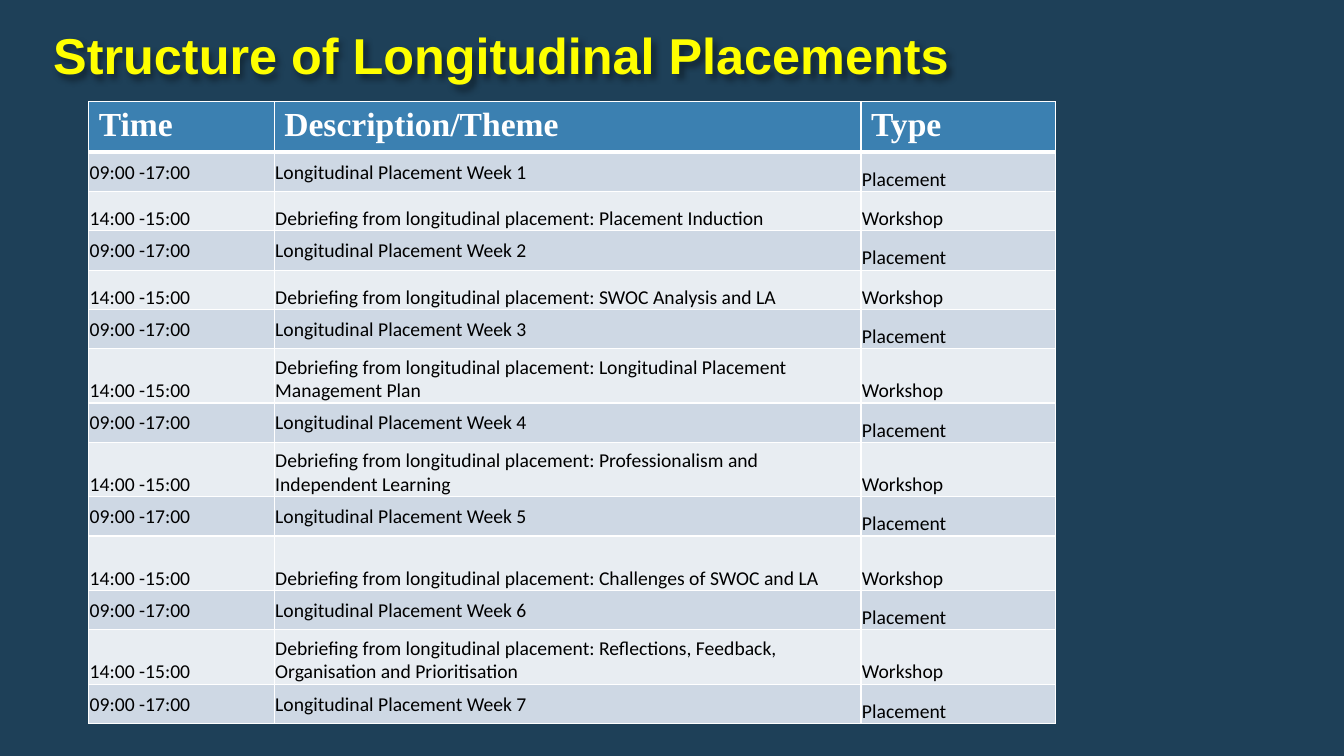
from lxml.etree import SubElement as Sub
from pptx import Presentation
from pptx.dml.color import RGBColor
from pptx.enum.text import MSO_ANCHOR as Anchor
from pptx.oxml import parse_xml
from pptx.oxml.ns import nsdecls, qn
from pptx.util import Inches, Pt

THEMES = [
    "Placement Induction",
    "SWOC Analysis and LA",
    "Longitudinal Placement Management Plan",
    "Professionalism and Independent Learning",
    "Challenges of SWOC and LA",
    "Reflections, Feedback, Organisation and Prioritisation",
]
WIDTHS = [1.84, 5.82, 1.93]
HEADS = ["Time", "Description/Theme", "Type"]


def color(code):
    return RGBColor.from_string(code)


class Deck:
    """Holds the slide and the style of its title and table."""

    back, gold, white, black = "1E4058", "FFFF00", "FFFFFF", "000000"
    head, dark, light = "3B80B1", "CED8E4", "E8EDF2"

    def __init__(self, show):
        self.slide = show.slides.add_slide(show.slide_layouts[6])
        fill = self.slide.background.fill
        fill.solid()
        fill.fore_color.rgb = color(self.back)

    def style(self, font, name, size, code, bold):
        font.name, font.size, font.bold = name, Pt(size), bold
        font.color.rgb = color(code)

    def title(self, text, box):
        shape = self.slide.shapes.add_textbox(*map(Inches, box))
        frame = shape.text_frame
        frame.word_wrap = True
        frame.vertical_anchor = Anchor.BOTTOM
        para = frame.paragraphs[0]
        para.line_spacing = 0.9
        run = para.add_run()
        run.text = text
        self.style(run.font, "Arial", 36, self.gold, True)
        run.font._element.insert(0, parse_xml(
            f'<a:ln {nsdecls("a")} w="9525"><a:solidFill><a:srgbClr val="404040">'
            '<a:alpha val="10000"/></a:srgbClr></a:solidFill></a:ln>'))
        shape._element.spPr.append(parse_xml(
            f'<a:effectLst {nsdecls("a")}><a:outerShdw blurRad="50800" dist="38100" '
            'dir="2700000" algn="tl" rotWithShape="0"><a:srgbClr val="000000">'
            '<a:alpha val="40000"/></a:srgbClr></a:outerShdw></a:effectLst>'))

    def edges(self, cell, sizes):
        props = cell._tc.get_or_add_tcPr()
        for spot, (side, size) in enumerate(zip("LRTB", sizes)):
            line = Sub(props, qn(f"a:ln{side}"), w=str(Pt(size)))
            Sub(Sub(line, qn("a:solidFill")), qn("a:srgbClr"), val=self.white)
            props.insert(spot, line)

    def cell(self, cell, text, fill, font, anchor, sizes):
        cell.text = text
        cell.vertical_anchor = anchor
        cell.fill.solid()
        cell.fill.fore_color.rgb = color(fill)
        self.style(cell.text_frame.paragraphs[0].font, *font)
        self.edges(cell, sizes)

    def table(self, rows, tall, box):
        grid = self.slide.shapes.add_table(
            len(rows), len(WIDTHS), *map(Inches, box)).table
        for col, width in zip(grid.columns, WIDTHS):
            col.width = Inches(width)
        for r, (row, high) in enumerate(zip(rows, tall)):
            grid.rows[r].height = Inches(high)
            for c, text in enumerate(row):
                cell = grid.cell(r, c)
                if r == 0:
                    font = "Times New Roman", 24, self.white, True
                    self.cell(cell, text, self.head, font, Anchor.TOP, [1, 1, 1, 3])
                    continue
                week = r % 2 == 1
                fill = self.dark if week else self.light
                anchor = Anchor.MIDDLE if week and c < 2 else Anchor.BOTTOM
                cell.margin_left = cell.margin_right = cell.margin_top = Inches(0.01)
                cell.margin_bottom = 0
                font = "Calibri", 14, self.black, False
                self.cell(cell, text, fill, font, anchor, [1, 1, 3 if r == 1 else 1, 1])


def main():
    show = Presentation()
    show.slide_width, show.slide_height = Inches(13.33), Inches(7.5)
    deck = Deck(show)
    deck.title("Structure of Longitudinal Placements", (0.43, 0.32, 12.26, 0.58))
    rows, tall = [HEADS], [0.49]
    for week in range(1, len(THEMES) + 2):
        rows.append(["09:00 -17:00", f"Longitudinal Placement Week {week}", "Placement"])
        tall.append(0.39)
        if week <= len(THEMES):
            theme = f"Debriefing from longitudinal placement: {THEMES[week - 1]}"
            rows.append(["14:00 -15:00", theme, "Workshop"])
            tall.append(0.39 if week < 3 else 0.54)
    deck.table(rows, tall, (0.88, 1.01, 9.59, 6.17))
    show.save("out.pptx")


if __name__ == "__main__":
    main()
